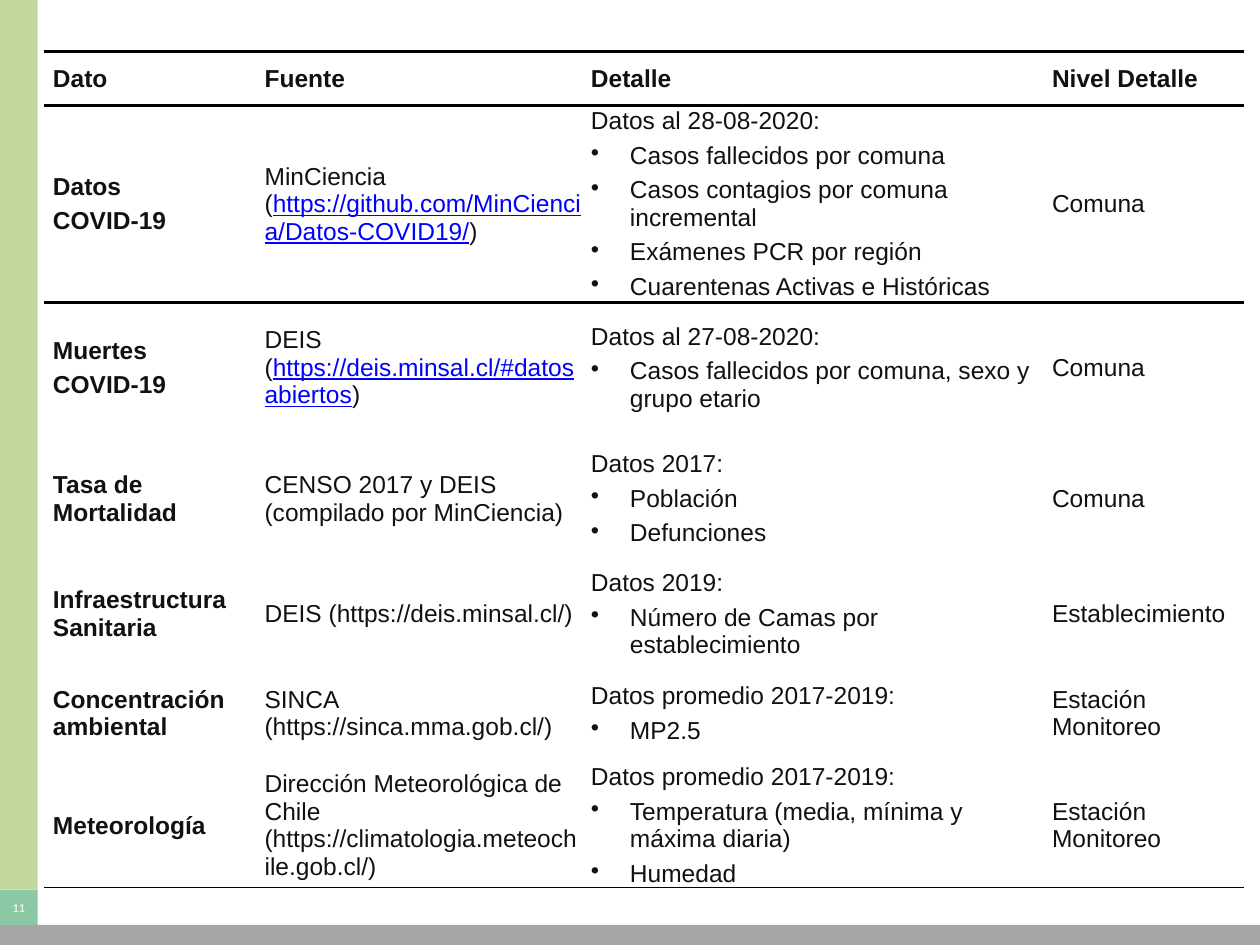
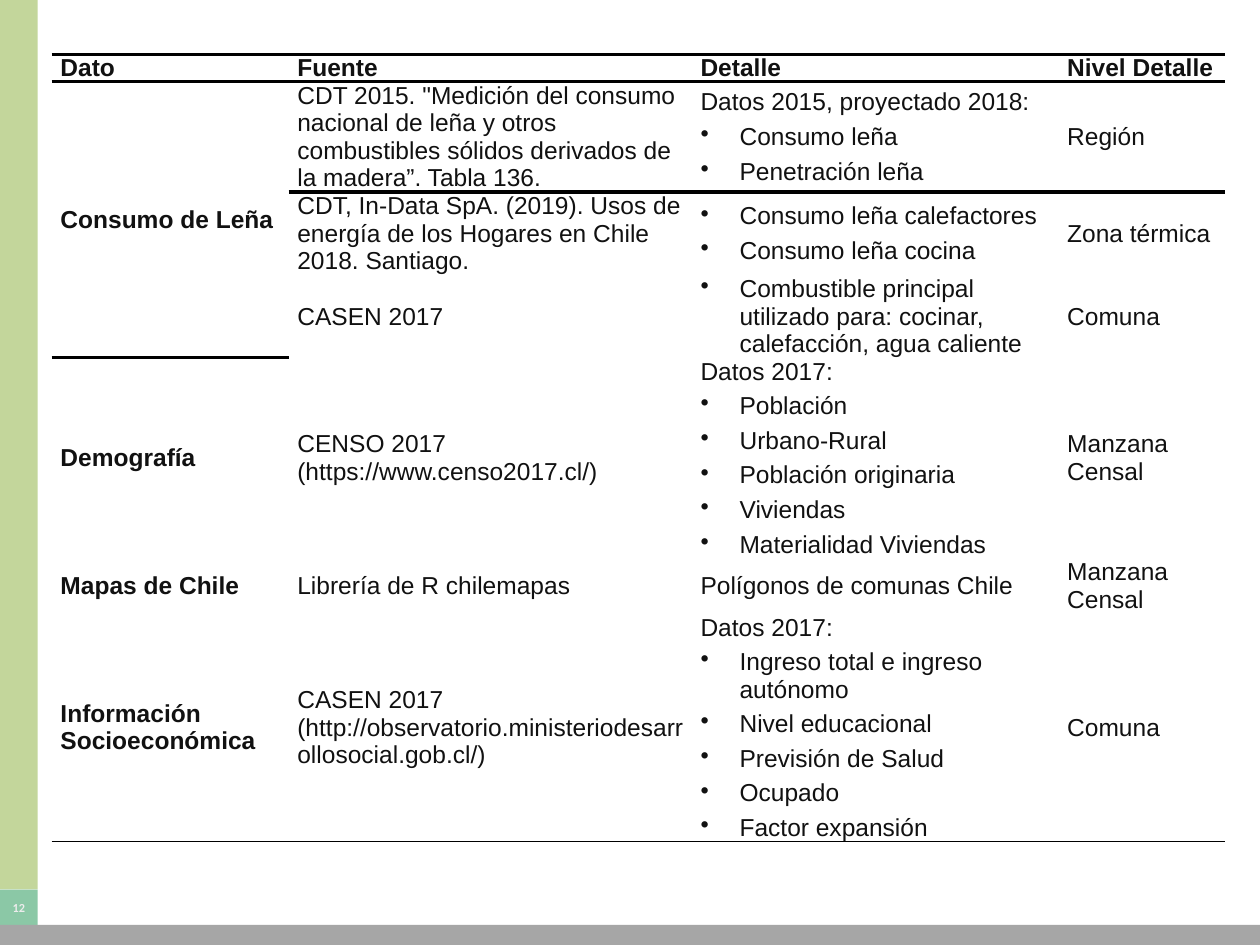
from dataclasses import dataclass
from lxml import etree
from pptx import Presentation
from pptx.dml.color import RGBColor as Rgb
from pptx.enum import shapes, text
from pptx.oxml import ns
from pptx.util import Inches, Pt


@dataclass(frozen=True)
class Theme:
    side: str = "C3D69B"
    badge: str = "8BC8A6"
    foot: str = "A6A6A6"
    pale: str = "ECECEC"
    ink: str = "111111"
    link: str = "0000FF"
    rule: str = "000000"
    font: str = "Arial"
    small: str = "Calibri"
    body: float = 14
    page: float = 7
    thick: float = 2
    thin: float = 1


theme = Theme()
plain = "{2D5ABB26-0587-4C30-8999-92F81FD0307C}"
head = ("Dato", "Fuente", "Detalle", "Nivel Detalle")

pages = [
    dict(
        num="11", left=0.35, top=0.41,
        cols=(1.68, 2.59, 3.66, 1.59),
        tall=(0.43, 1.56, 1.04, 1.04, 0.79, 0.79, 0.95, 0.15),
        merge=None,
        rows=[
            ("Datos\nCOVID-19",
             "MinCiencia (|https://github.com/MinCiencia/Datos-COVID19/|)",
             "Datos al 28-08-2020:\n•Casos fallecidos por comuna\n"
             "•Casos contagios por comuna incremental\n"
             "•Exámenes PCR por región\n•Cuarentenas Activas e Históricas",
             "Comuna"),
            ("Muertes\nCOVID-19",
             "DEIS (|https://deis.minsal.cl/#datosabiertos|)",
             "Datos al 27-08-2020:\n"
             "•Casos fallecidos por comuna, sexo y grupo etario",
             "Comuna"),
            ("Tasa de Mortalidad",
             "CENSO 2017 y DEIS (compilado por MinCiencia)",
             "Datos 2017:\n•Población\n•Defunciones",
             "Comuna"),
            ("Infraestructura Sanitaria",
             "DEIS (https://deis.minsal.cl/)",
             "Datos 2019:\n•Número de Camas por establecimiento",
             "Establecimiento"),
            ("Concentración ambiental",
             "SINCA (https://sinca.mma.gob.cl/)",
             "Datos promedio 2017-2019:\n•MP2.5",
             "Estación Monitoreo"),
            ("Meteorología",
             "Dirección Meteorológica de Chile "
             "(https://climatologia.meteochile.gob.cl/)",
             "Datos promedio 2017-2019:\n"
             "•Temperatura (media, mínima y máxima diaria)\n•Humedad",
             "Estación Monitoreo"),
        ],
    ),
    dict(
        num="12", left=0.41, top=0.43,
        cols=(1.88, 3.2, 2.91, 1.32),
        tall=(0.22, 0.87, 0.66, 0.65, 1.58, 0.44, 1.81, 0.1),
        merge=(1, 3),
        rows=[
            ("Consumo de Leña",
             "CDT 2015. \"Medición del consumo nacional de leña y otros "
             "combustibles sólidos derivados de la madera”. Tabla 136.",
             "Datos 2015, proyectado 2018:\n•Consumo leña\n•Penetración leña",
             "Región"),
            ("",
             "CDT, In-Data SpA. (2019). Usos de energía de los Hogares "
             "en Chile 2018. Santiago.",
             "•Consumo leña calefactores\n•Consumo leña cocina",
             "Zona térmica"),
            ("",
             "CASEN 2017",
             "•Combustible principal utilizado para: cocinar, "
             "calefacción, agua caliente",
             "Comuna"),
            ("Demografía",
             "CENSO 2017 (https://www.censo2017.cl/)",
             "Datos 2017:\n•Población\n•Urbano-Rural\n•Población originaria\n"
             "•Viviendas\n•Materialidad Viviendas",
             "Manzana Censal"),
            ("Mapas de Chile",
             "Librería de R chilemapas",
             "Polígonos de comunas Chile",
             "Manzana Censal"),
            ("Información Socioeconómica",
             "CASEN 2017 "
             "(http://observatorio.ministeriodesarrollosocial.gob.cl/)",
             "Datos 2017:\n•Ingreso total e ingreso autónomo\n"
             "•Nivel educacional\n•Previsión de Salud\n•Ocupado\n"
             "•Factor expansión",
             "Comuna"),
        ],
    ),
]


def write(cell, words, bold):
    frame = cell.text_frame
    for i, line in enumerate(words.split("\n")):
        para = frame.paragraphs[0] if i == 0 else frame.add_paragraph()
        item = line.startswith("•")
        props = para._p.get_or_add_pPr()
        props.set("marL", str(Inches(0.38 if item else 0.07)))
        props.set("indent", str(Inches(-0.31 if item else 0)))
        if item:
            etree.SubElement(props, ns.qn("a:buChar"), char="•")
        para.space_before = Pt(2 if i else 0)
        para.space_after = Pt(2)
        for j, part in enumerate(line.lstrip("•").split("|")):
            run = para.add_run()
            run.text = part
            font = run.font
            font.name, font.size, font.bold = theme.font, Pt(theme.body), bold
            font.underline = j == 1
            font.color.rgb = Rgb.from_string(theme.link if j == 1 else theme.ink)


def edge(cell, tag, width):
    props = cell._tc.get_or_add_tcPr()
    line = etree.Element(ns.qn(tag), w=str(Pt(width)))
    fill = etree.SubElement(line, ns.qn("a:solidFill"))
    etree.SubElement(fill, ns.qn("a:srgbClr"), val=theme.rule)
    props.insert(len(props) - 1, line)


deck = Presentation()
deck.slide_width, deck.slide_height = Inches(10), Inches(7.5)
bands = [
    (0, 0, 0.3, 7.06, theme.side),
    (0, 7.06, 0.3, 0.29, theme.badge),
    (0, 7.34, 10, 0.16, theme.foot),
]

for page in pages:
    slide = deck.slides.add_slide(deck.slide_layouts[6])
    for *box, tint in bands:
        band = slide.shapes.add_shape(
            shapes.MSO_SHAPE.RECTANGLE, *map(Inches, box))
        band.shadow.inherit = False
        band.fill.solid()
        band.fill.fore_color.rgb = Rgb.from_string(tint)
        band.line.fill.background()
        if tint == theme.badge:
            frame = band.text_frame
            frame.margin_left = frame.margin_right = 0
            frame.margin_top = frame.margin_bottom = 0
            frame.vertical_anchor = text.MSO_ANCHOR.MIDDLE
            frame.text = page["num"]
            para = frame.paragraphs[0]
            para.alignment = text.PP_ALIGN.CENTER
            font = para.runs[0].font
            font.name, font.size, font.bold = theme.small, Pt(theme.page), True
            font.color.rgb = Rgb.from_string(theme.pale)

    cols, tall = page["cols"], page["tall"]
    grid = slide.shapes.add_table(
        len(tall), len(cols), Inches(page["left"]), Inches(page["top"]),
        Inches(sum(cols)), Inches(sum(tall))).table
    grid.first_row = grid.horz_banding = False
    grid._tbl.tblPr.find(ns.qn("a:tableStyleId")).text = plain
    for col, width in zip(grid.columns, cols):
        col.width = Inches(width)
    for row, height in zip(grid.rows, tall):
        row.height = Inches(height)
    if page["merge"]:
        first, last = page["merge"]
        grid.cell(first, 0).merge(grid.cell(last, 0))

    rows = [head] + page["rows"]
    end = len(rows) - 1
    for r in range(len(tall)):
        for c in range(len(cols)):
            cell = grid.cell(r, c)
            cell.margin_left = cell.margin_right = 0
            cell.margin_top = cell.margin_bottom = 0
            cell.vertical_anchor = text.MSO_ANCHOR.MIDDLE
            cell.fill.background()
            if r <= end and rows[r][c]:
                write(cell, rows[r][c], r == 0 or c == 0)
            if r < 2:
                edge(cell, "a:lnT", theme.thick)
            if r == 0:
                edge(cell, "a:lnB", theme.thick)
            if r == end:
                edge(cell, "a:lnB", theme.thin)
            if r > end:
                edge(cell, "a:lnT", theme.thin)

deck.save("out.pptx")
